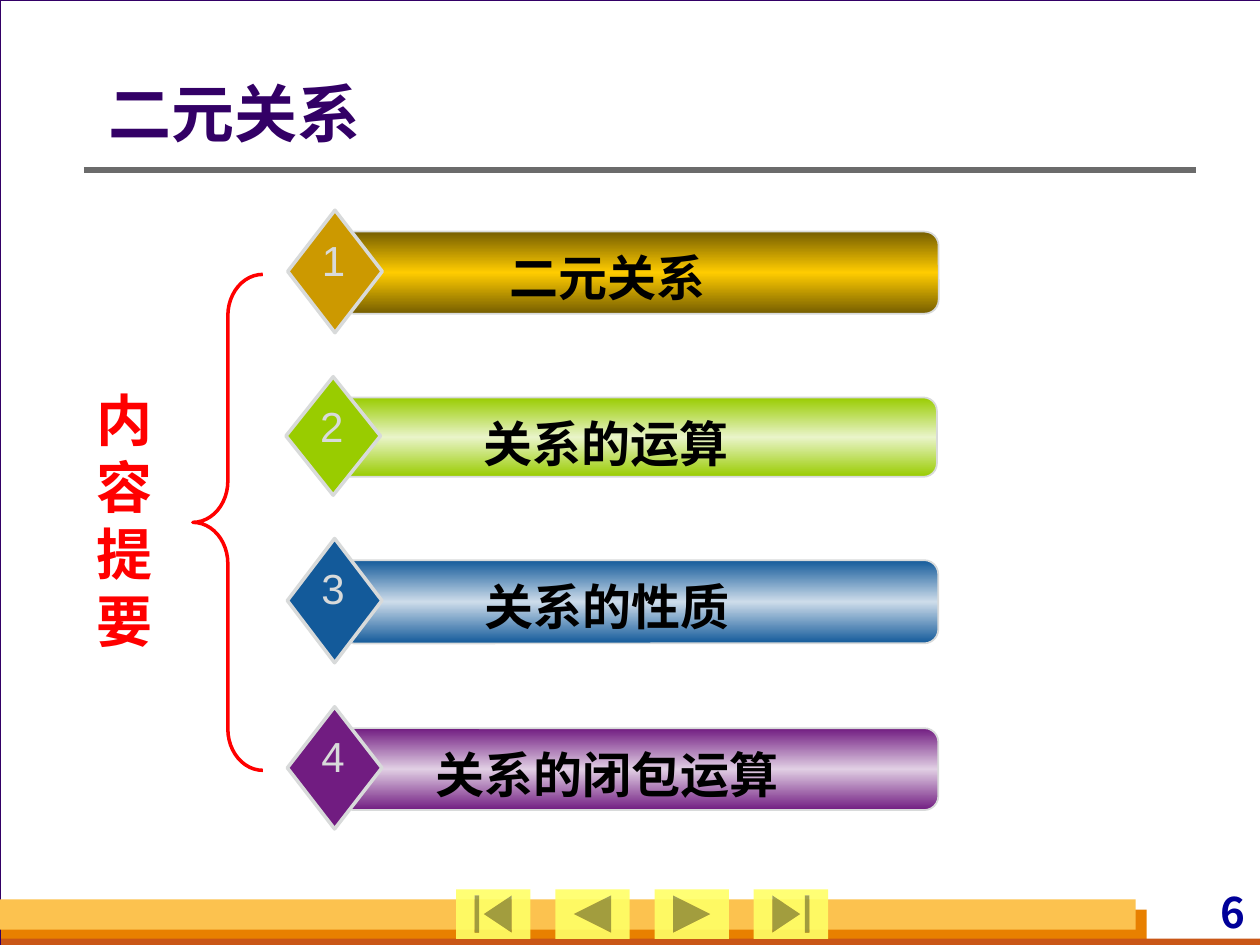
from copy import deepcopy
from lxml.etree import SubElement
from pptx import Presentation
from pptx.dml.color import RGBColor as Rgb
from pptx.enum.shapes import MSO_CONNECTOR as Link, MSO_SHAPE as Kind
from pptx.enum.text import MSO_ANCHOR as Anchor, PP_ALIGN as Align
from pptx.oxml.ns import qn
from pptx.util import Pt

WHITE = Rgb(0xFF, 0xFF, 0xFF)
BLACK = Rgb(0, 0, 0)
PALE = Rgb(0xD8, 0xDA, 0xDA)
INDIGO = Rgb(0x33, 0x00, 0x66)
NAVY = Rgb(0x00, 0x00, 0x99)
RED = Rgb(0xFF, 0, 0)
GREY = Rgb(0x6B, 0x6B, 0x6B)
ORANGE = Rgb(0xE8, 0x80, 0x00)
RUST = Rgb(0xC9, 0x56, 0x16)
AMBER = Rgb(0xFC, 0xC2, 0x4F)
LEMON = Rgb(0xFF, 0xFF, 0x66)
BROWN = Rgb(0x76, 0x5E, 0x00)
GOLD = Rgb(0xFF, 0xCC, 0x00)
OCHRE = Rgb(0xCC, 0x99, 0x00)
LIME = Rgb(0x99, 0xCC, 0x00)
MINT = Rgb(0xE9, 0xF4, 0xC9)
BLUE = Rgb(0x13, 0x5A, 0x9A)
SKY = Rgb(0xCD, 0xDC, 0xEA)
PLUM = Rgb(0x71, 0x1C, 0x81)
LILAC = Rgb(0xE1, 0xCF, 0xE4)
SANS = "Noto Sans CJK SC"

ROWS = [
    ("二元关系", (164.4, 120.1, 372, 70), OCHRE, BROWN, GOLD),
    ("关系的运算", (163.4, 215.3, 372, 67.7), LIME, LIME, MINT),
    ("关系的性质", (164.2, 307.7, 372, 71), BLUE, BLUE, SKY),
    ("关系的闭包运算", (164.2, 403.9, 372, 69.8), PLUM, PLUM, LILAC),
]
BUTTONS = [
    Kind.ACTION_BUTTON_BEGINNING,
    Kind.ACTION_BUTTON_BACK_OR_PREVIOUS,
    Kind.ACTION_BUTTON_FORWARD_OR_NEXT,
    Kind.ACTION_BUTTON_END,
]


def draw(shapes, kind, box, fill=None, line=None, width=1):
    """Add a preset shape with a plain fill and outline."""
    shape = shapes.add_shape(kind, *map(Pt, box))
    shape.shadow.inherit = False
    if fill is None:
        shape.fill.background()
    else:
        shape.fill.solid()
        shape.fill.fore_color.rgb = fill
    if line is None:
        shape.line.fill.background()
    else:
        shape.line.color.rgb = line
        shape.line.width = Pt(width)
    return shape


def write(shape, text, size, color, font=SANS, bold=True, align=Align.LEFT,
          anchor=Anchor.TOP, pad=(7.2, 3.6, 7.2, 3.6), wrap=True, space=None):
    """Put one formatted paragraph into a shape."""
    frame = shape.text_frame
    frame.word_wrap = wrap
    frame.vertical_anchor = anchor
    (frame.margin_left, frame.margin_top,
     frame.margin_right, frame.margin_bottom) = map(Pt, pad)
    para = frame.paragraphs[0]
    para.alignment = align
    para.line_spacing = space
    run = para.add_run()
    run.text = text
    run.font.name = font
    run.font.size = Pt(size)
    run.font.bold = bold
    run.font.color.rgb = color
    SubElement(run.font._element, qn("a:ea"), typeface=SANS)


def label(shapes, box, text, size, color, **fmt):
    """Add a text box holding one paragraph."""
    write(shapes.add_textbox(*map(Pt, box)), text, size, color, **fmt)


def blend(shape, edge, core):
    """Fill a shape with a vertical gradient, edge to core to edge."""
    fill = shape.fill
    fill.gradient()
    fill.gradient_angle = 90
    stops = fill._fill._gradFill.gsLst
    stops.append(deepcopy(stops[0]))
    for stop, color, place in zip(fill.gradient_stops, (edge, core, edge), (0, 0.5, 1)):
        stop.color.rgb = color
        stop.position = place


def header(slide, box):
    """Place the title and the rule below it."""
    x, y, w, h = box
    title = slide.shapes.title
    title.left, title.top, title.width, title.height = map(Pt, box)
    tree = title.element.getparent()
    tree.append(title.element)
    write(title, "二元关系", 36, INDIGO, anchor=Anchor.MIDDLE,
          pad=(8, 3.6, 7.2, 3.6), space=0.9)
    rule = slide.shapes.add_connector(
        Link.STRAIGHT, *map(Pt, (x - 6, y + 53.3, x + w + 4.3, y + 53.3)))
    rule.line.color.rgb = GREY
    rule.line.width = Pt(3)
    SubElement(rule.element.spPr, qn("a:effectLst"))


def footer(shapes, box):
    """Place the colour bands, page number and navigation buttons."""
    x, y, w, h = box
    draw(shapes, Kind.RECTANGLE, (x + 0.7, y + 5.8, 654.5, 20.2), ORANGE)
    draw(shapes, Kind.RECTANGLE, (x + 0.7, y + 22.4, w, 5.4), RUST)
    draw(shapes, Kind.RECTANGLE, (x, y, 649, 17.3), AMBER)
    label(shapes, (x + 610, y - 7.2, 104.4, 34.8), "6", 24, NAVY,
          align=Align.RIGHT, pad=(2.9, 0, 2.9, 0))
    for i, kind in enumerate(BUTTONS):
        spot = (x + 260.6 + 56.7 * i, y - 5.8, 42.5, 28.3)
        button = draw(shapes, kind, spot, LEMON)
        color = button.fill._xPr.find(qn("a:solidFill"))[0]
        SubElement(color, qn("a:alpha"), val="90000")


def entry(shapes, box, number, text, gem, edge, core):
    """Place one numbered agenda bar as a group."""
    x, y, w, h = box
    parts = shapes.add_group_shape().shapes
    top = y + 0.175 * h
    bar = draw(parts, Kind.ROUNDED_RECTANGLE,
               (x + 29.8, top, w - 29.8, 0.67 * h), gem, PALE)
    bar.adjustments[0] = 0.17
    blend(bar, edge, core)
    draw(parts, Kind.DIAMOND, (x, y, 54, h), gem, PALE, 2)
    label(parts, (x + 47.8, top + 5.8, 270, 41), text, 28, BLACK,
          font="Arial", align=Align.CENTER)
    label(parts, (x + 12.4, top - 2, 27.4, 36), str(number), 24, PALE,
          font="Arial", bold=False, align=Align.CENTER, wrap=False)


def summary(shapes, box):
    """Place the upright heading and its brace."""
    x, y, w, h = box
    label(shapes, (x, y + 59.8, 45.4, 161.3), "内容提要", 32, RED)
    brace = draw(shapes, Kind.LEFT_BRACE, (x + 62, y, w - 62, h), line=RED, width=2)
    brace.adjustments[0] = 0.59


def main():
    """Build the slide and save it."""
    deck = Presentation()
    deck.slide_width, deck.slide_height = Pt(720), Pt(540)
    slide = deck.slides.add_slide(deck.slide_layouts[5])
    slide.background.fill.solid()
    slide.background.fill.fore_color.rgb = PALE
    shapes = slide.shapes
    draw(shapes, Kind.RECTANGLE, (0, 0, 720.7, 540), WHITE, INDIGO, 0.75)
    footer(shapes, (0, 514, 720, 26))
    header(slide, (54, 43.9, 625, 46))
    for number, (text, box, *colors) in enumerate(ROWS, 1):
        entry(shapes, box, number, text, *colors)
    summary(shapes, (48.2, 156.8, 102, 283.4))
    deck.save("out.pptx")


if __name__ == "__main__":
    main()
